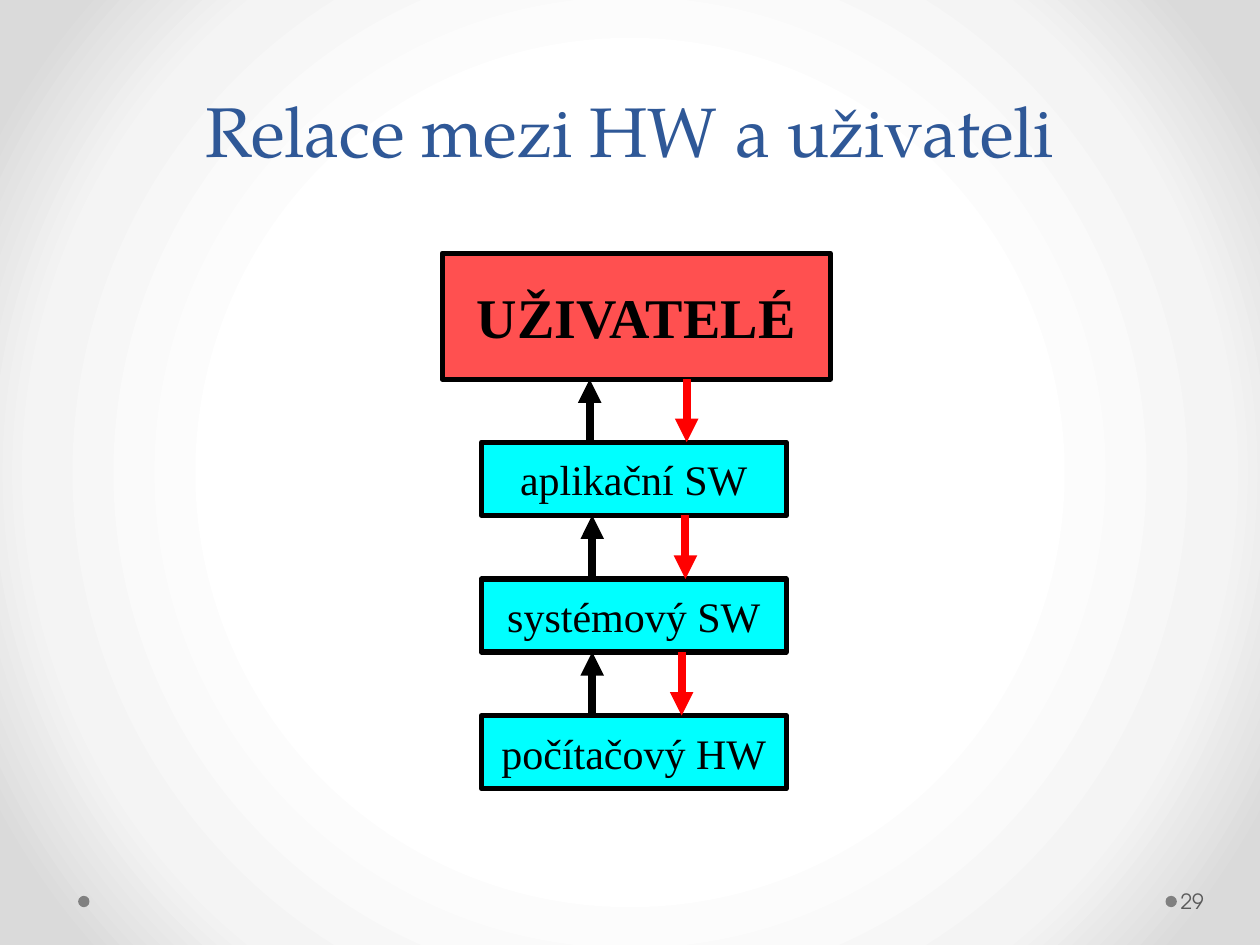
from dataclasses import dataclass

from lxml.etree import SubElement
from pptx import Presentation
from pptx.dml.color import RGBColor
from pptx.enum.shapes import MSO_CONNECTOR, MSO_SHAPE
from pptx.enum.text import MSO_ANCHOR, PP_ALIGN
from pptx.oxml.ns import qn
from pptx.util import Inches, Pt


@dataclass(frozen=True)
class Theme:
    title_font: str = "TeX Gyre Pagella"
    number_font: str = "TeX Gyre Adventor"
    box_font: str = "Times New Roman"
    title_size: int = 40
    users_size: int = 32
    layer_size: int = 24
    number_size: int = 12
    title_color: str = "2F5897"
    number_color: str = "595959"
    dot_color: str = "808080"
    users_color: str = "FF5050"
    layer_color: str = "00FFFF"
    ink: str = "000000"
    request_color: str = "FF0000"
    box_line: float = 3
    arrow_line: float = 4.5
    background_stops: tuple = ((50, "FFFFFF"), (76, "F4F4F4"), (92, "DADADA"))


@dataclass(frozen=True)
class Box:
    text: str
    left: float
    top: float
    width: float
    height: float
    fill: str
    size: int
    bold: bool = False

    @property
    def bottom(self) -> float:
        return self.top + self.height


THEME = Theme()
LAYER_TOP, LAYER_STEP = 3.51, 1.085
LAYERS = ("aplikační SW", "systémový SW", "počítačový HW")
# Horizontal places of the upward and downward arrow in each gap, top to bottom
ARROW_PLACES = ((4.68, 5.45), (4.7, 5.44), (4.7, 5.41))


def paint_background(slide) -> None:
    """Fill the background with a circular gradient around the centre."""
    slide.background.fill.gradient()
    gradient = next(slide.element.iter(qn("a:gradFill")))
    for child in list(gradient):
        gradient.remove(child)
    stops = SubElement(gradient, qn("a:gsLst"))
    for position, color in THEME.background_stops:
        stop = SubElement(stops, qn("a:gs"), pos=str(position * 1000))
        SubElement(stop, qn("a:srgbClr"), val=color)
    circle = SubElement(gradient, qn("a:path"), path="circle")
    SubElement(circle, qn("a:fillToRect"), l="50000", t="50000", r="50000", b="50000")


def write_text(shape, text: str, font_name: str, size: int, color: str,
               align: PP_ALIGN = PP_ALIGN.CENTER, bold: bool = False) -> None:
    frame = shape.text_frame
    frame.text = text
    frame.vertical_anchor = MSO_ANCHOR.MIDDLE
    paragraph = frame.paragraphs[0]
    paragraph.alignment = align
    font = paragraph.runs[0].font
    font.name, font.size, font.bold = font_name, Pt(size), bold
    font.color.rgb = RGBColor.from_string(color)


def add_filled_shape(shapes, kind: MSO_SHAPE, left: float, top: float,
                     width: float, height: float, color: str):
    shape = shapes.add_shape(kind, Inches(left), Inches(top), Inches(width), Inches(height))
    shape.shadow.inherit = False
    shape.fill.solid()
    shape.fill.fore_color.rgb = RGBColor.from_string(color)
    shape.line.fill.background()
    return shape


def add_box(shapes, box: Box) -> None:
    shape = add_filled_shape(shapes, MSO_SHAPE.RECTANGLE, box.left, box.top,
                             box.width, box.height, box.fill)
    shape.line.color.rgb = RGBColor.from_string(THEME.ink)
    shape.line.width = Pt(THEME.box_line)
    write_text(shape, box.text, THEME.box_font, box.size, THEME.ink, bold=box.bold)
    shape.text_frame.word_wrap = False


def add_arrow(shapes, x: float, start: float, end: float, color: str) -> None:
    arrow = shapes.add_connector(MSO_CONNECTOR.STRAIGHT, Inches(x), Inches(start),
                                 Inches(x), Inches(end))
    arrow.line.color.rgb = RGBColor.from_string(color)
    arrow.line.width = Pt(THEME.arrow_line)
    SubElement(arrow.line._get_or_add_ln(), qn("a:tailEnd"), type="triangle")
    SubElement(arrow.element.spPr, qn("a:effectLst"))


def add_title(slide) -> None:
    title = slide.shapes.add_textbox(Inches(0.5), Inches(0.52), Inches(9), Inches(0.87))
    title.text_frame.word_wrap = True
    write_text(title, "Relace mezi HW a uživateli", THEME.title_font,
               THEME.title_size, THEME.title_color)
    title.text_frame.paragraphs[0].line_spacing = Pt(58)


def add_diagram(slide) -> None:
    shapes = slide.shapes.add_group_shape().shapes
    boxes = [Box("UŽIVATELÉ", 3.51, 2.01, 3.08, 1, THEME.users_color, THEME.users_size, True)]
    boxes += [Box(text, 3.82, LAYER_TOP + index * LAYER_STEP, 2.42, 0.58,
                  THEME.layer_color, THEME.layer_size)
              for index, text in enumerate(LAYERS)]
    for box in boxes:
        add_box(shapes, box)
    for upper, lower, (up_x, down_x) in zip(boxes, boxes[1:], ARROW_PLACES):
        add_arrow(shapes, up_x, lower.top, upper.bottom, THEME.ink)
        add_arrow(shapes, down_x, upper.bottom, lower.top, THEME.request_color)


def add_slide_number(slide) -> None:
    number = slide.shapes.add_textbox(Inches(9.34), Inches(6.95), Inches(0.61), Inches(0.4))
    number.text_frame.word_wrap = True
    number.text_frame.margin_left = Inches(0.03)
    number.text_frame.margin_right = Inches(0.05)
    write_text(number, "29", THEME.number_font, THEME.number_size,
               THEME.number_color, PP_ALIGN.LEFT)


def main() -> None:
    presentation = Presentation()
    presentation.slide_width, presentation.slide_height = Inches(10), Inches(7.5)
    slide = presentation.slides.add_slide(presentation.slide_layouts[6])
    paint_background(slide)
    for left in (9.25, 0.62):
        add_filled_shape(slide.shapes, MSO_SHAPE.OVAL, left, 7.11, 0.09, 0.09, THEME.dot_color)
    add_title(slide)
    add_diagram(slide)
    add_slide_number(slide)
    presentation.save("out.pptx")


if __name__ == "__main__":
    main()
